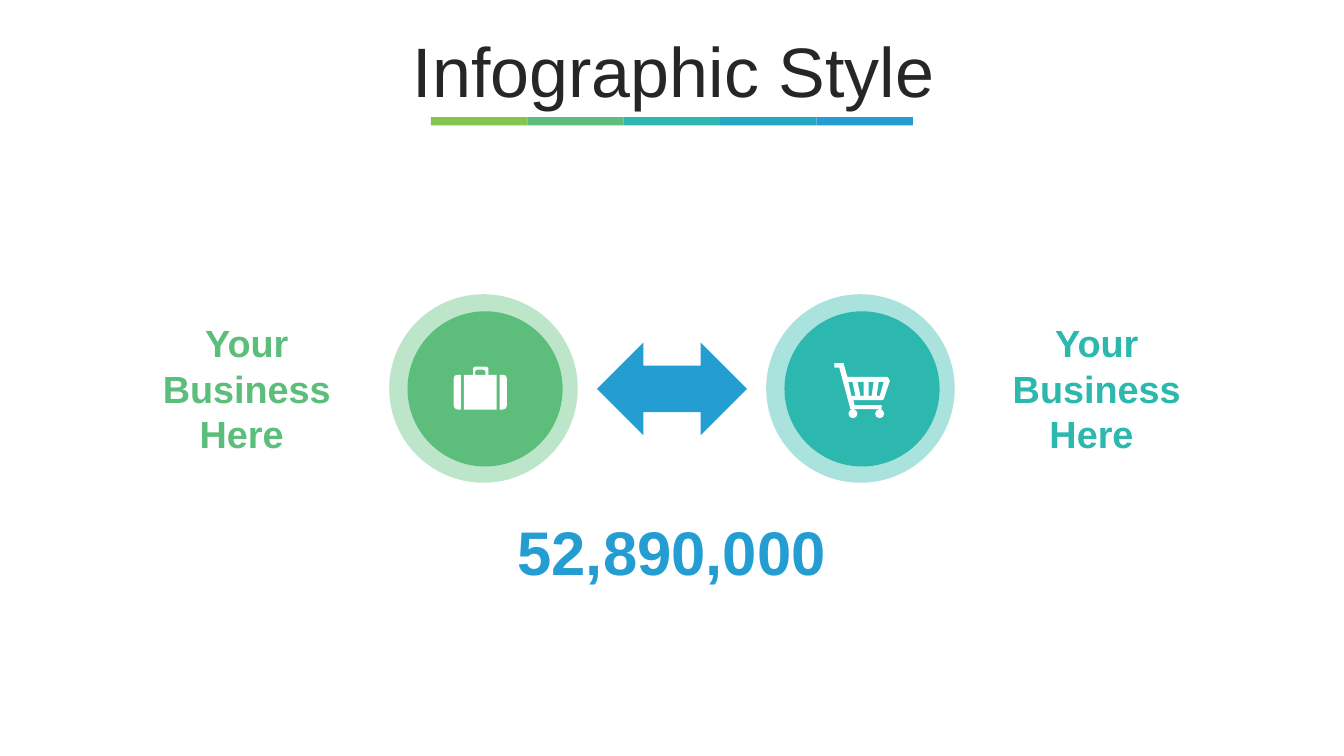
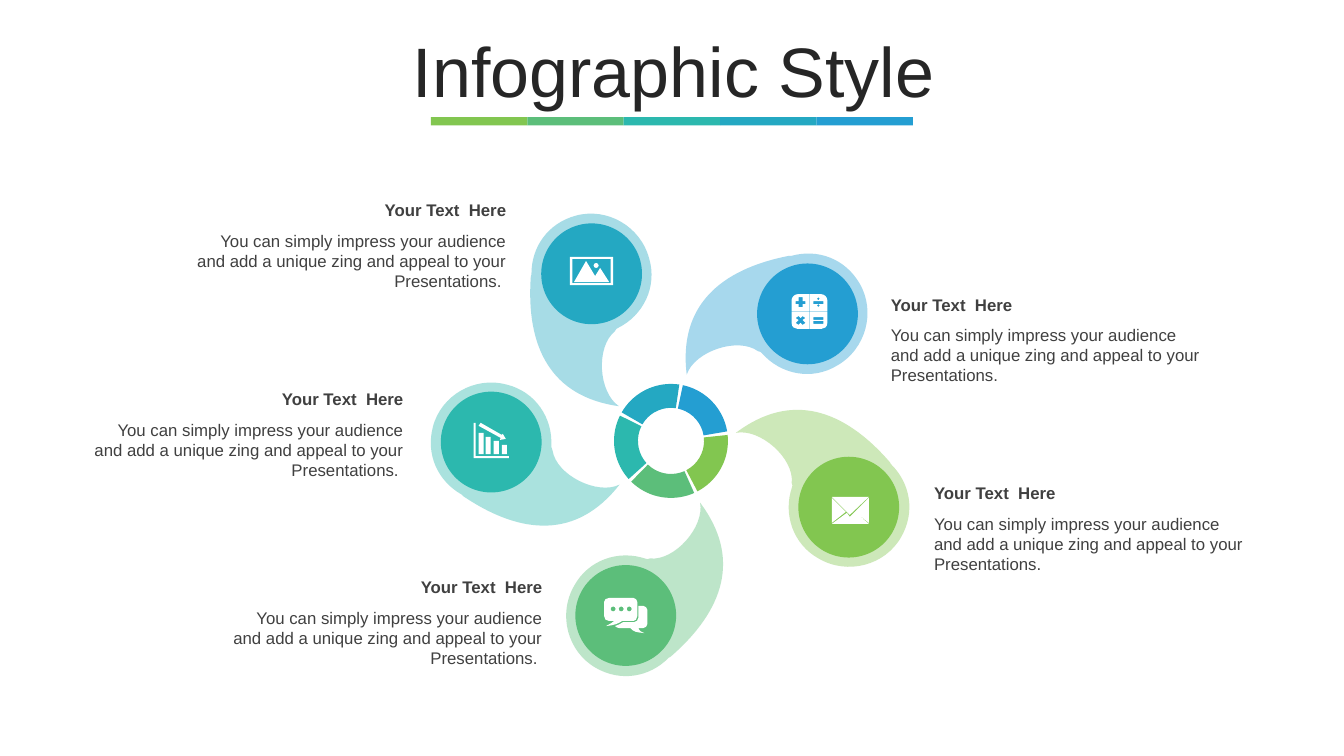
import math

import pptx
import pptx.dml.color
import pptx.enum.shapes
import pptx.enum.text
import pptx.util
from lxml import etree
from pptx.oxml.ns import qn

Cm = pptx.util.Cm
SHAPE = pptx.enum.shapes.MSO_SHAPE
ALIGN = pptx.enum.text.PP_ALIGN
ANCHOR = pptx.enum.text.MSO_ANCHOR

PAGE_WIDTH, PAGE_HEIGHT = 33.87, 19.05
LIME, GREEN, TEAL, CYAN, BLUE = PALETTE = [
    "82C650", "5CBE7A", "2CB8AE", "24A8C2", "249ED2"]
WHITE, TITLE_INK, TEXT_INK = "FFFFFF", "262626", "404040"
FONT = "Arial"
HALO_OPACITY = 40

# Outline language: M start, L lines, C curves, R left top width height, O centre radius
PETAL = """M 0 1.52 C -.81 1.52 -1.5 .84 -1.5 0 -1.52 -.74 -.99 -1.35 -.28 -1.49
    -.25 -1.5 -.22 -1.5 -.19 -1.55 .38 -1.8 .61 -2.93 .2 -3.4
    1.8 -2.72 2.08 -1.35 1.5 .33 L 1.47 .38 C 1.3 1.04 .74 1.52 0 1.52"""
SUITCASE = """M 45 8 L 48 8 C 51 8 52 9 52 12 L 52 38 C 52 40 51 42 48 42 L 45 42
    M 4 8 L 7 8 7 42 4 42 C 1 42 0 40 0 38 L 0 12 C 0 9 1 8 4 8
    M 21 0 L 31 0 C 33 0 34 1 34 2 L 34 8 42 8 42 42 10 42 10 8 19 8 19 2
    C 19 1 20 0 21 0 M 23 3 C 22 3 21 4 21 5 L 21 8 31 8 31 5 C 31 4 30 3 29 3"""
CART = """M 44 19 L 42 33 45 33 49 19 M 34 19 L 34 33 37 33 39 19
    M 23 19 L 26 33 29 33 29 19 M 14 19 L 17 33 21 33 18 19
    M 9 0 L 13 14 52 14 C 53 14 55 16 55 18 L 49 36 C 49 37 48 37 47 37
    L 19 37 20 42 47 42 47 46 16 46 5 5 0 5 0 .5 8 .5 O 18.5 50.5 4.5 O 45 50.5 4.5"""
ENVELOPE = """M 23 15 L 37 27 0 27 15 16 18 20 M 37 1 L 37 26 23 15
    M 0 1 L 14 15 0 26 M 0 0 L 37 0 18 18"""
CHART = """R 28 22 5 9 R 20 18 5 13 R 12 14 5 17 R 5 10 5 21
    M 7 0 L 28 12 29 11 32 16 26 17 27 15 5 3 M 0 0 L 2 0 2 33 35 33 35 35 0 35"""
CALCULATOR = """R 22 27 10 3 R 22 23 10 3 R 22 7 10 3 O 27 4.5 1.5 O 27 11.5 1.5
    M 7 22 L 4 24 7 26 4 29 7 31 9 29 11 31 14 29 11 26 14 24 11 22 9 24
    M 7 3 L 11 3 11 7 14 7 14 10 11 10 11 13 7 13 7 10 4 10 4 7 7 7
    M 18.5 18 L 36 18 36 29 C 36 33 33 35 30 35 L 18.5 35
    M 0 18 L 18 18 18 35 6 35 C 3 35 0 33 0 29
    M 18.5 0 L 30 0 C 33 0 36 3 36 6 L 36 17.5 18.5 17.5
    M 6 0 L 18 0 18 17.5 0 17.5 0 6 C 0 3 3 0 6 0"""
SPEECH = """O 25 11 2.5 O 17 11 2.5 O 9 11 2.5
    M 5 0 L 29 0 C 31 0 33 2 33 4 L 33 18 C 33 21 31 23 29 23 L 18 23
    C 13 26 11 27 2 28 7 25 8 25 10 23 L 5 23 C 2 23 0 21 0 18 L 0 4 C 0 2 2 0 5 0
    M 34 8 L 39 8 C 41 8 43 10 43 12 L 43 26 C 43 28 41 30 39 30 L 34 30
    C 35 32 35 33 40 35 31 34 30 34 26 30 L 15 30 C 13 30 12 29 11 28
    14 27 16 26 19 24 L 30 24 C 32 24 34 22 34 20"""
LANDSCAPE = """O 26 8.5 2.5 M 16 4 L 25 19 30 11 39 25 4 25
    R 2.5 2 38 24 R 0 0 43 28"""


def colour(code):
    return pptx.dml.color.RGBColor.from_string(code)


def paint(shape, fill, opacity=100):
    """Give a shape a plain fill without line or shadow."""
    shape.shadow.inherit = False
    shape.line.fill.background()
    shape.fill.solid()
    shape.fill.fore_color.rgb = colour(fill)
    if opacity < 100:
        tint = shape.fill._xPr.find(qn("a:solidFill"))[0]
        etree.SubElement(tint, qn("a:alpha"), val=str(opacity * 1000))


def add_block(page, kind, box, fill, opacity=100):
    shape = page.shapes.add_shape(kind, *map(Cm, box))
    paint(shape, fill, opacity)
    return shape


def add_disc(page, centre, diameter, fill, opacity=100):
    x, y = centre
    box = (x - diameter / 2, y - diameter / 2, diameter, diameter)
    return add_block(page, SHAPE.OVAL, box, fill, opacity)


def add_text(page, text, box, size, ink, bold=False, align=ALIGN.LEFT,
             anchor=ANCHOR.TOP, spacing=None):
    frame = page.shapes.add_textbox(*map(Cm, box)).text_frame
    frame.word_wrap = True
    frame.vertical_anchor = anchor
    para = frame.paragraphs[0]
    para.alignment = align
    para.line_spacing = spacing
    span = para.add_run()
    span.text = text
    span.font.name = FONT
    span.font.size = pptx.util.Pt(size)
    span.font.bold = bold
    span.font.color.rgb = colour(ink)


def trace(outline):
    """Turn an outline string into moveTo, lnTo, cubicBezTo and close steps."""
    commands = []
    for token in outline.split():
        if token.isalpha():
            commands.append((token, []))
        else:
            commands[-1][1].append(float(token))
    steps = []
    for letter, values in commands:
        points = list(zip(values[::2], values[1::2]))
        if letter in "MRO" and steps:
            steps.append(("close", []))
        if letter == "R":
            x, y, width, height = values
            points = [(x, y), (x + width, y), (x + width, y + height), (x, y + height)]
        elif letter == "O":
            x, y, radius = values
            pull = 0.55
            ring = [(0, -1), (pull, -1), (1, -pull), (1, 0), (1, pull), (pull, 1), (0, 1),
                    (-pull, 1), (-1, pull), (-1, 0), (-1, -pull), (-pull, -1), (0, -1)]
            points = [(x + radius * a, y + radius * b) for a, b in ring]
        if letter in "MRO":
            steps.append(("moveTo", [points.pop(0)]))
        if letter in "CO":
            steps += [("cubicBezTo", points[i:i + 3]) for i in range(0, len(points), 3)]
        else:
            steps += [("lnTo", [point]) for point in points]
    return steps + [("close", [])]


def extent(steps):
    """Left, top, right and bottom of the drawn outline."""
    reached = []
    for kind, points in steps:
        if kind == "cubicBezTo":
            a, b, c, d = reached[-1], *points
            for t in (step / 20 for step in range(1, 20)):
                weights = ((1 - t) ** 3, 3 * t * (1 - t) ** 2, 3 * t * t * (1 - t), t ** 3)
                reached.append(tuple(sum(w * p[axis] for w, p in zip(weights, (a, b, c, d)))
                                     for axis in (0, 1)))
        reached += points[-1:]
    xs, ys = zip(*reached)
    return min(xs), min(ys), max(xs), max(ys)


def add_outline(page, outline, centre, fill, scale=1.0, opacity=100):
    """Draw an outline with curves, its extent centred on a point."""
    steps = trace(outline)
    left, top, right, bottom = extent(steps)
    width, height = Cm((right - left) * scale), Cm((bottom - top) * scale)
    x, y = Cm(centre[0]) - width // 2, Cm(centre[1]) - height // 2
    builder = page.shapes.build_freeform(x, y, scale=1.0)
    builder.add_line_segments([(x + width, y), (x + width, y + height), (x, y + height)])
    shape = builder.convert_to_shape()
    contour = shape._element.spPr.find(".//" + qn("a:path"))
    for step in list(contour):
        contour.remove(step)
    for kind, points in steps:
        step = etree.SubElement(contour, qn("a:" + kind))
        for px, py in points:
            etree.SubElement(step, qn("a:pt"), x=str(Cm((px - left) * scale)),
                             y=str(Cm((py - top) * scale)))
    paint(shape, fill, opacity)
    return shape


def add_icon(page, outline, centre, width, nudge):
    left, _, right, _ = extent(trace(outline))
    add_outline(page, outline, (centre[0] + nudge[0], centre[1] + nudge[1]), WHITE,
                scale=width / (right - left))


def add_petal(page, centre, turn, fill):
    """Draw the petal turned about the centre of its disc."""
    left, top, right, bottom = extent(trace(PETAL))
    x, y = (left + right) / 2, (top + bottom) / 2
    cos, sin = math.cos(math.radians(turn)), math.sin(math.radians(turn))
    middle = (centre[0] + x * cos - y * sin, centre[1] + x * sin + y * cos)
    add_outline(page, PETAL, middle, fill, opacity=HALO_OPACITY).rotation = turn


def add_page(deck, title):
    """Add a blank page with the title and the coloured rule below it."""
    page = deck.slides.add_slide(deck.slide_layouts[6])
    band_width = 2.43
    left = (PAGE_WIDTH - band_width * len(PALETTE)) / 2
    for index, fill in enumerate(PALETTE):
        add_block(page, SHAPE.RECTANGLE,
                  (left + index * band_width, 2.95, band_width, 0.21), fill)
    add_text(page, title, (0.9, 0.94, 32.16, 2), 50, TITLE_INK,
             align=ALIGN.CENTER, anchor=ANCHOR.MIDDLE, spacing=0.8)
    return page


def add_partner(page, centre, fill, outline, width, nudge, label_left):
    inner = (centre[0] + 0.04, centre[1] + 0.01)
    add_disc(page, centre, 4.75, fill, HALO_OPACITY)
    add_disc(page, inner, 3.91, fill)
    add_icon(page, outline, inner, width, nudge)
    add_text(page, "Your Business Here ", (label_left, centre[1] - 1.85, 6.2, 3.71),
             27, fill, bold=True, align=ALIGN.CENTER)


def add_exchange_page(deck):
    page = add_page(deck, "Infographic Style")
    middle, level = PAGE_WIDTH / 2, 9.79
    reach = 4.75
    add_partner(page, (middle - reach, level), GREEN, SUITCASE, 1.34, (-0.12, -0.02), 3.12)
    add_partner(page, (middle + reach, level), TEAL, CART, 1.4, (0, 0.04), 24.54)
    add_block(page, SHAPE.LEFT_RIGHT_ARROW, (middle - 1.89, level - 1.16, 3.78, 2.34), BLUE)
    add_text(page, "52,890,000", (middle - 4.59, 12.82, 9.17, 2.13), 44, BLUE,
             bold=True, align=ALIGN.CENTER)


def add_hub(page, centre, diameter):
    """Ring of five equal arcs."""
    box = (centre[0] - diameter / 2, centre[1] - diameter / 2, diameter, diameter)
    for index, fill in enumerate(PALETTE):
        arc = add_block(page, SHAPE.BLOCK_ARC, box, fill)
        for place, value in enumerate((108, 149.02, 0.21)):
            arc.adjustments[place] = value
        arc.rotation = (174 + 72 * index) % 360


def add_caption(page, left, top, align):
    ending = " " if align == ALIGN.RIGHT else ""
    add_text(page, "Your Text  Here", (left, top, 8.38, 0.77), 12, TEXT_INK,
             bold=True, align=align)
    add_text(page, "You can simply impress your audience and add a unique zing "
             "and appeal to your Presentations." + ending,
             (left, top + 0.77, 8.38, 1.8), 12, TEXT_INK, align=align)


def add_pinwheel_page(deck):
    page = add_page(deck, "Infographic Style")
    add_hub(page, (16.91, 11.11), 2.87)
    # fill, disc centre, turn, icon, icon width, icon nudge, caption left and top, alignment
    petals = [
        (BLUE, (20.35, 7.91), 240, CALCULATOR, 0.9, (0.05, -0.06), 22.2, 7.29, ALIGN.LEFT),
        (CYAN, (14.91, 6.9), 165, LANDSCAPE, 1.09, (0, -0.07), 4.63, 4.92, ALIGN.RIGHT),
        (TEAL, (12.38, 11.14), 105, CHART, 0.89, (0, -0.04), 2.04, 9.67, ALIGN.RIGHT),
        (GREEN, (15.77, 15.51), 30, SPEECH, 1.09, (0, 0), 5.54, 14.41, ALIGN.RIGHT),
        (LIME, (21.39, 12.78), 300, ENVELOPE, 0.93, (0.04, 0.08), 23.29, 12.04, ALIGN.LEFT),
    ]
    for fill, centre, turn, outline, width, nudge, left, top, align in petals:
        add_petal(page, centre, turn, fill)
        add_disc(page, centre, 2.54, fill)
        add_icon(page, outline, centre, width, nudge)
        add_caption(page, left, top, align)


def main():
    deck = pptx.Presentation()
    deck.slide_width, deck.slide_height = Cm(PAGE_WIDTH), Cm(PAGE_HEIGHT)
    add_exchange_page(deck)
    add_pinwheel_page(deck)
    deck.save("out.pptx")


if __name__ == "__main__":
    main()
